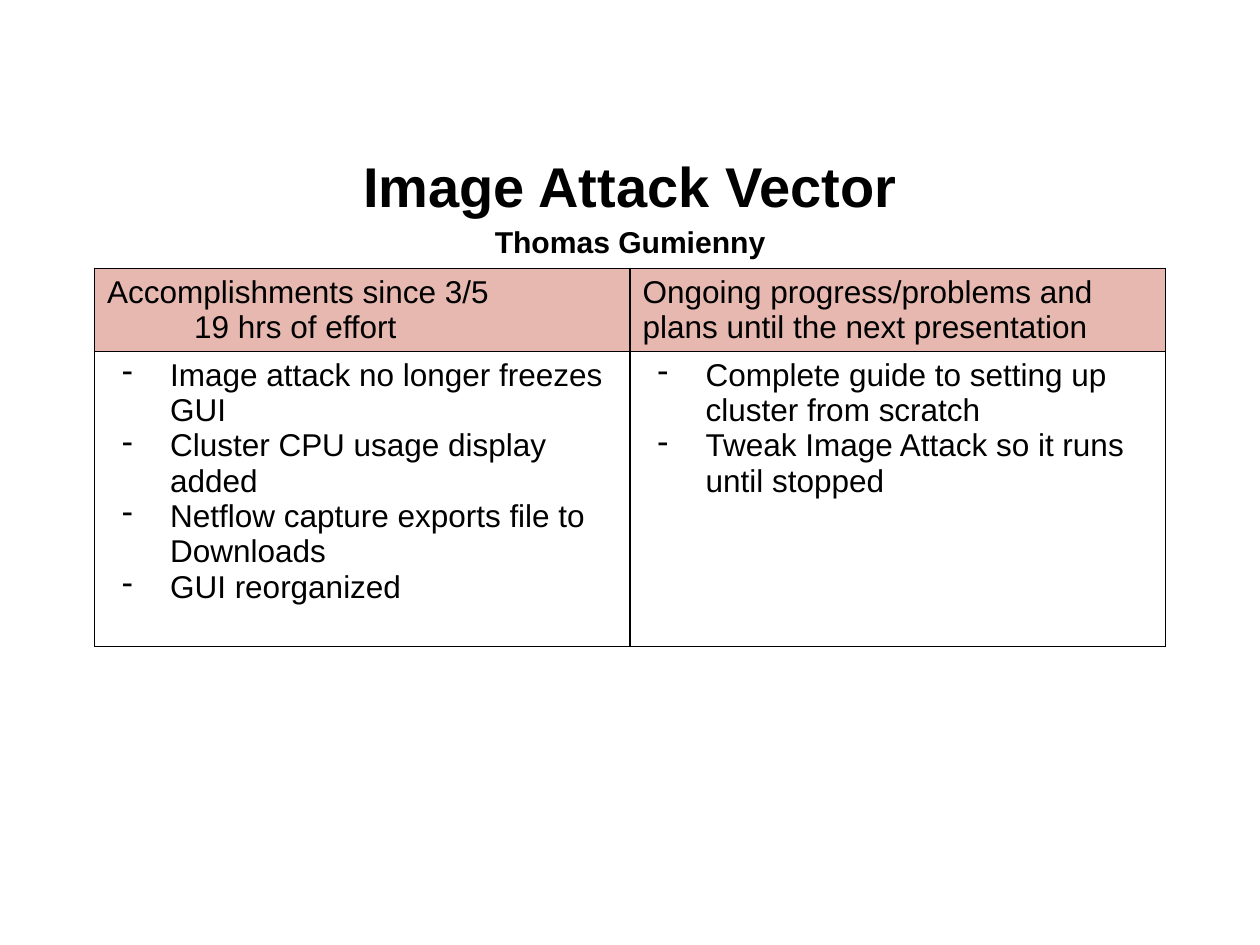
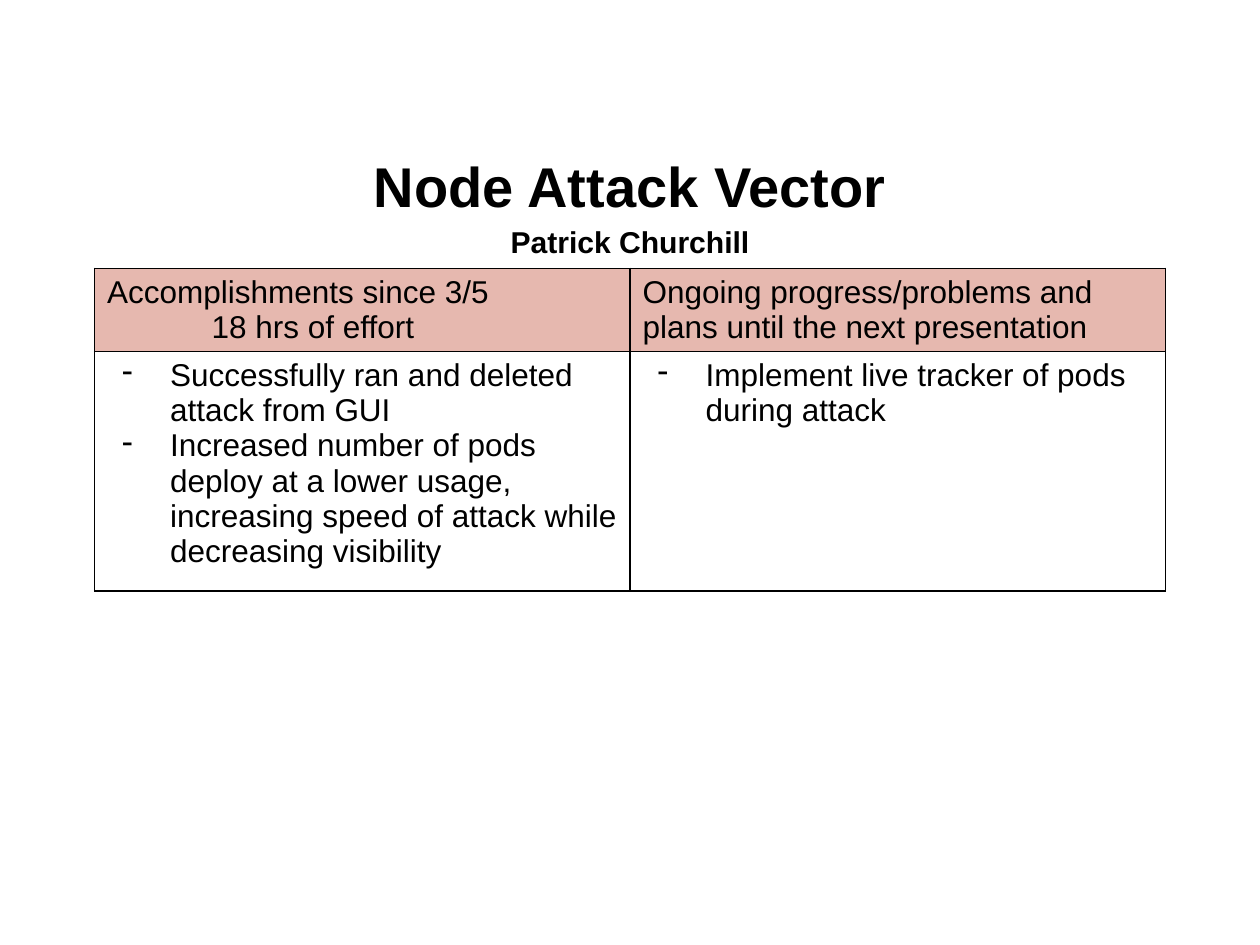
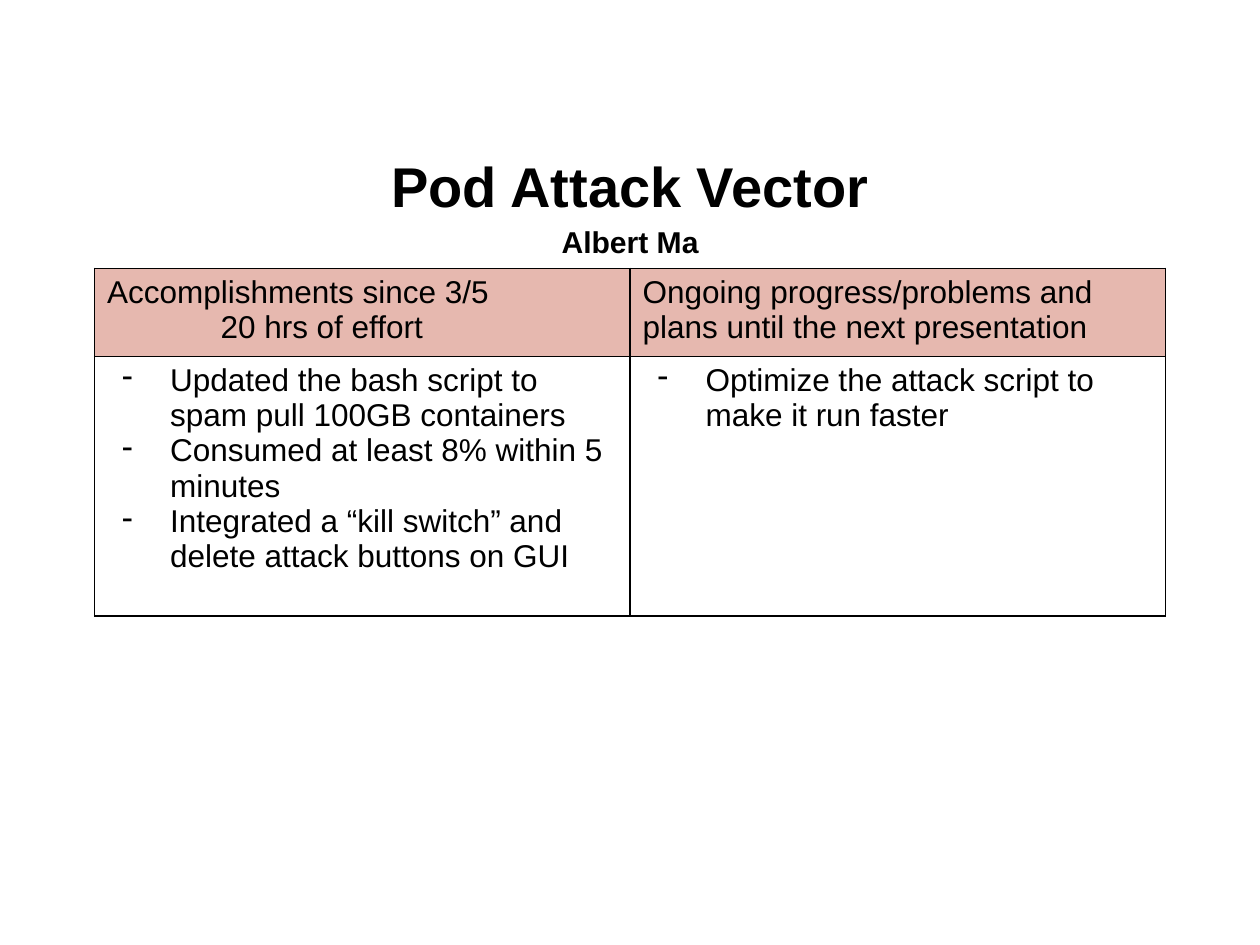
from lxml import etree
from pptx import Presentation
from pptx.dml.color import RGBColor
from pptx.enum.text import MSO_ANCHOR, MSO_AUTO_SIZE, PP_ALIGN
from pptx.oxml.ns import qn
from pptx.util import Inches, Pt

CENTER, MIDDLE, NO_FIT = PP_ALIGN.CENTER, MSO_ANCHOR.MIDDLE, MSO_AUTO_SIZE.NONE
COLORS = {"text": "000000", "border": "000000", "header": "E6B8AF"}
FONT = "Arial"
TITLE_ONLY = 5

prs = Presentation()
prs.slide_width, prs.slide_height = Inches(10), Inches(7.5)
W = prs.slide_width
MARGIN = int(W * 0.075)
COL_W = (W - 2 * MARGIN) // 2
TABLE_TOP = Inches(2.13)

PLANS_HEADING = "Ongoing progress/problems and plans until the next presentation"

# effort_indent and row_heights are in inches
REPORTS = [
    {"title": "Image Attack Vector", "author": "Thomas Gumienny",
     "effort": "19 hrs of effort", "effort_indent": 0.69, "row_heights": (0.66, 2.34),
     "done": ["Image attack no longer freezes GUI",
              "Cluster CPU usage display added",
              "Netflow capture exports file to Downloads",
              "GUI reorganized"],
     "plans": ["Complete guide to setting up cluster from scratch",
               "Tweak Image Attack so it runs until stopped"]},
    {"title": "Node Attack Vector", "author": "Patrick Churchill",
     "effort": "18 hrs of effort", "effort_indent": 0.83, "row_heights": (0.66, 1.9),
     "done": ["Successfully ran and deleted attack from GUI",
              "Increased number of pods deploy at a lower usage, increasing "
              "speed of attack while decreasing visibility"],
     "plans": ["Implement live tracker of pods during attack"]},
    {"title": "Pod Attack Vector", "author": "Albert Ma",
     "effort": "20 hrs of effort", "effort_indent": 0.9, "row_heights": (0.7, 2.06),
     "done": ["Updated the bash script to spam pull 100GB containers",
              "Consumed at least 8% within 5 minutes",
              "Integrated a “kill switch” and delete attack buttons on GUI"],
     "plans": ["Optimize the attack script to make it run faster"]},
]


def add_line(tf, i, text, size, bold=False, indent=0, bullet=False):
    """Write paragraph i of a text frame, adding it when i is past the first."""
    p = tf.paragraphs[0] if i == 0 else tf.add_paragraph()
    r = p.add_run()
    r.text = text
    r.font.name, r.font.size, r.font.bold = FONT, Pt(size), bold
    r.font.color.rgb = RGBColor.from_string(COLORS["text"])
    pPr = p._p.get_or_add_pPr()
    if indent:
        pPr.set("marL", str(Inches(indent)))
        pPr.set("indent", "0")
    if bullet:
        pPr.set("indent", str(-Inches(0.38)))
        clr = etree.SubElement(pPr, qn("a:buClr"))
        etree.SubElement(clr, qn("a:srgbClr"), val=COLORS["text"])
        etree.SubElement(pPr, qn("a:buChar"), char="-")
    return p


def set_borders(cell):
    tcPr = cell._tc.get_or_add_tcPr()
    for i, side in enumerate(("a:lnL", "a:lnR", "a:lnT", "a:lnB")):
        ln = etree.Element(qn(side), w=str(Pt(1)))
        fill = etree.SubElement(ln, qn("a:solidFill"))
        etree.SubElement(fill, qn("a:srgbClr"), val=COLORS["border"])
        tcPr.insert(i, ln)


for report in REPORTS:
    s = prs.slides.add_slide(prs.slide_layouts[TITLE_ONLY])

    title = s.shapes.title
    title.left, title.top = int(W * 0.05), Inches(1.15)
    title.width, title.height = int(W * 0.9), Inches(0.88)
    tf = title.text_frame
    tf.vertical_anchor, tf.auto_size, tf.word_wrap = MIDDLE, NO_FIT, True
    for i, (text, size) in enumerate([(report["title"], 32), (report["author"], 17.2)]):
        p = add_line(tf, i, text, size, bold=True)
        p.alignment, p.line_spacing = CENTER, 1.15

    heights = [Inches(h) for h in report["row_heights"]]
    table = s.shapes.add_table(2, 2, MARGIN, TABLE_TOP, 2 * COL_W, sum(heights)).table
    table.first_row = table.horz_banding = False
    for col in table.columns:
        col.width = COL_W
    for row, height in zip(table.rows, heights):
        row.height = height

    done_head, plans_head = table.cell(0, 0), table.cell(0, 1)
    add_line(done_head.text_frame, 0, "Accomplishments since 3/5", 18)
    add_line(done_head.text_frame, 1, report["effort"], 18, indent=report["effort_indent"])
    add_line(plans_head.text_frame, 0, PLANS_HEADING, 18)
    for head in (done_head, plans_head):
        head.fill.solid()
        head.fill.fore_color.rgb = RGBColor.from_string(COLORS["header"])

    for c, key in enumerate(("done", "plans")):
        cell = table.cell(1, c)
        cell.fill.background()
        for i, item in enumerate(report[key]):
            add_line(cell.text_frame, i, item, 18, indent=0.5, bullet=True)

    for cell in table.iter_cells():
        set_borders(cell)

prs.save("out.pptx")
